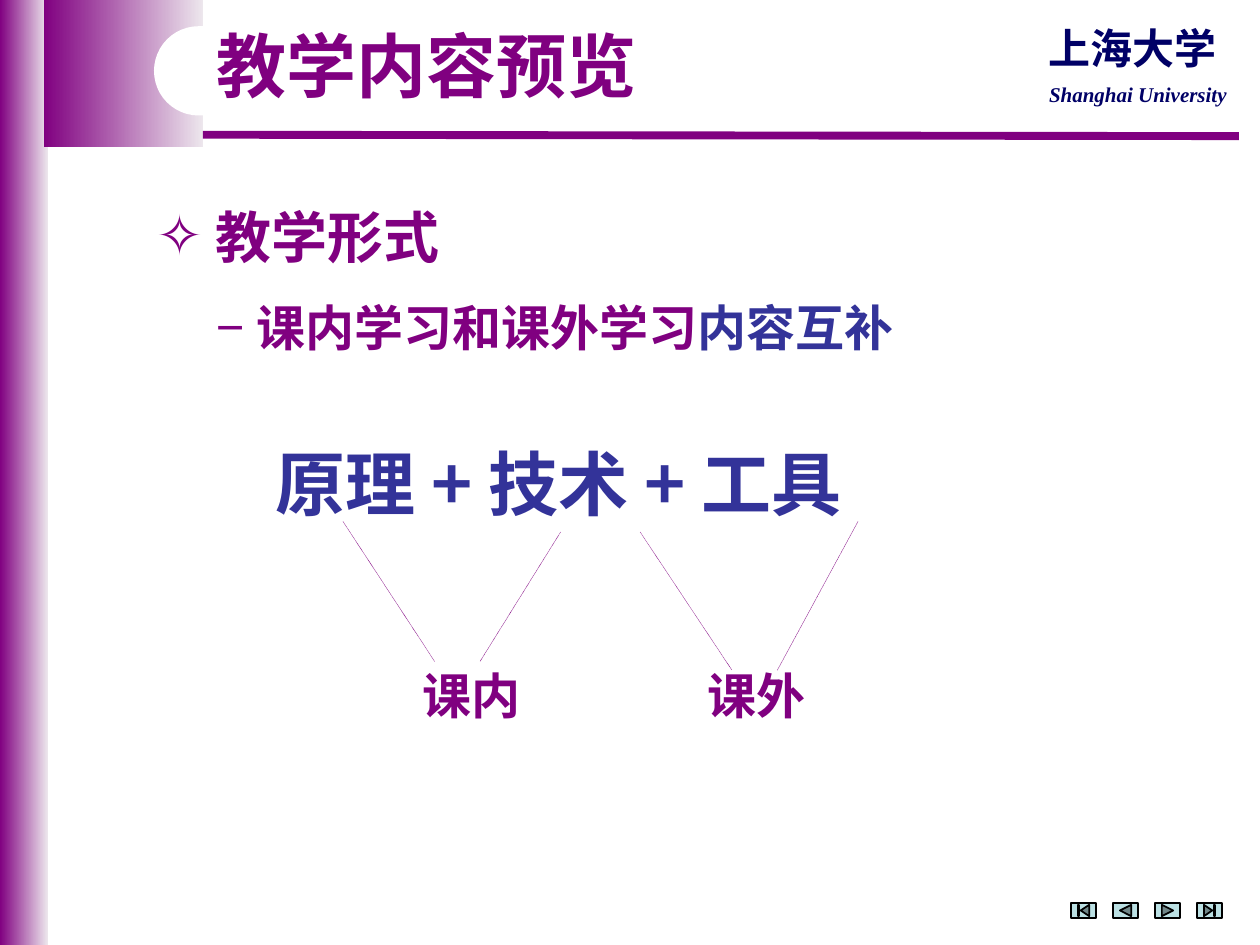
from dataclasses import dataclass

from lxml.etree import SubElement
from pptx import Presentation
from pptx.dml.color import RGBColor
from pptx.enum.dml import MSO_LINE
from pptx.enum.shapes import MSO_CONNECTOR, MSO_SHAPE
from pptx.enum.text import MSO_ANCHOR, MSO_AUTO_SIZE, PP_ALIGN
from pptx.oxml.ns import qn
from pptx.util import Pt


@dataclass(frozen=True)
class Theme:
    """Colours, fonts and type sizes of the slide."""
    purple: str = "800080"
    pale: str = "EDE7ED"
    navy: str = "000066"
    indigo: str = "333399"
    button: str = "BBE0E3"
    white: str = "FFFFFF"
    black: str = "000000"
    cjk: str = "Noto Sans CJK SC"
    latin: str = "Times New Roman"
    title: int = 40
    heading: int = 32
    body: int = 28
    name: int = 24
    small: int = 12
    leading: float = 1.21


T = Theme()


def rgb(value):
    """Turn a hex string into a colour."""
    return RGBColor.from_string(value)


def write(p, text, size=T.body, color=T.purple, font=T.cjk, italic=False,
          align=PP_ALIGN.LEFT, leading=T.leading, before=0):
    """Append a formatted run to a paragraph."""
    p.alignment = align
    p.space_before = Pt(before)
    p.line_spacing = Pt(round(size * leading, 1))
    r = p.add_run()
    r.text = text
    f = r.font
    f.name, f.size, f.bold, f.italic = font, Pt(size), True, italic
    f.color.rgb = rgb(color)
    SubElement(r._r.get_or_add_rPr(), qn("a:ea")).set("typeface", font)


def frame(sp, wrap=True):
    """Prepare a top-anchored text frame and return it."""
    tf = sp.text_frame
    tf.auto_size = MSO_AUTO_SIZE.NONE
    tf.word_wrap = wrap
    tf.vertical_anchor = MSO_ANCHOR.TOP
    return tf


def text_box(s, box, text, **fmt):
    """Add a one-line text box holding one run."""
    tf = frame(s.shapes.add_textbox(*map(Pt, box)), wrap=False)
    write(tf.paragraphs[0], text, **fmt)


def place(s, sp, box):
    """Move a placeholder to a box, in front of what is drawn so far."""
    sp.left, sp.top, sp.width, sp.height = map(Pt, box)
    s.shapes._spTree.append(sp._element)
    return frame(sp)


def bullet(p, char, margin, hang):
    """Give a paragraph a coloured bullet and a hanging indent."""
    pPr = p._p.get_or_add_pPr()
    pPr.set("marL", str(Pt(margin)))
    pPr.set("indent", str(-Pt(hang)))
    clr = SubElement(pPr, qn("a:buClr"))
    SubElement(clr, qn("a:srgbClr")).set("val", T.purple)
    SubElement(pPr, qn("a:buChar")).set("char", char)


def shape(s, kind, box, fill, line=None):
    """Add a flat preset shape with an optional outline."""
    sp = s.shapes.add_shape(kind, *map(Pt, box))
    sp.shadow.inherit = False
    sp.fill.solid()
    sp.fill.fore_color.rgb = rgb(fill)
    if line:
        sp.line.color.rgb = rgb(line)
        sp.line.width = Pt(1)
    else:
        sp.line.fill.background()
    return sp


def gradient_block(s, box):
    """Add a rectangle fading from purple to pale, left to right."""
    fill = shape(s, MSO_SHAPE.RECTANGLE, box, T.purple).fill
    fill.gradient()
    fill.gradient_angle = 0
    for stop, color, position in zip(fill.gradient_stops, (T.purple, T.pale), (0, 1)):
        stop.color.rgb = rgb(color)
        stop.position = position


def line(s, start, end, width, dash=None):
    """Add a straight purple line."""
    c = s.shapes.add_connector(MSO_CONNECTOR.STRAIGHT, *map(Pt, start + end))
    c.line.color.rgb = rgb(T.purple)
    c.line.width = Pt(width)
    if dash:
        c.line.dash_style = dash
    SubElement(c._element.spPr, qn("a:effectLst"))


def header(s):
    """Draw the side band, the title block and the university name."""
    gradient_block(s, (0, 0, 27.4, 540))
    gradient_block(s, (25, 0, 91.2, 84.2))
    line(s, (116, 77), (708, 77.8), 4.5)
    shape(s, MSO_SHAPE.ROUNDED_RECTANGLE, (88, 15, 260.6, 51), T.white).adjustments[0] = 0.5
    text_box(s, (591.6, 43.6, 117.4, 21.6), "Shanghai University", size=T.small,
             color=T.navy, font=T.latin, italic=True, align=PP_ALIGN.CENTER, leading=1.15)
    text_box(s, (591.6, 9.2, 111.6, 36), "上海大学", size=T.name, color=T.navy,
             align=PP_ALIGN.CENTER)


def outline(s):
    """Fill the title and the two-level list."""
    tf = place(s, s.shapes.title, (116.6, 15, 254.2, 50.4))
    write(tf.paragraphs[0], "教学内容预览", size=T.title, align=PP_ALIGN.CENTER, leading=1.06)
    tf = place(s, s.placeholders[1], (82, 111.6, 533, 97))
    p = tf.paragraphs[0]
    bullet(p, "✧", 34, 34)
    write(p, "教学形式", size=T.heading)
    p = tf.add_paragraph()
    p.level = 1
    bullet(p, "−", 57.6, 23.5)
    write(p, "课内学习和课外学习", before=16)
    write(p, "内容互补", color=T.indigo, before=16)


def diagram(s):
    """Draw the three topics and the two settings they lead to."""
    text_box(s, (150.5, 247.7, 391, 55.4), "原理 + 技术 + 工具", size=T.title, color=T.indigo)
    settings = (
        ("课内", 228.2, 82, (((196, 298), (248.4, 378)), ((320.4, 304), (274.3, 378)))),
        ("课外", 397, 70.6, (((365.8, 304), (418.3, 383)), ((490.3, 298), (444.2, 383)))),
    )
    for label, left, width, links in settings:
        text_box(s, (left, 376.6, width, 41), label, align=PP_ALIGN.CENTER)
        for start, end in links:
            line(s, start, end, 0.25, MSO_LINE.ROUND_DOT)


def navigation(s):
    """Add the row of action buttons."""
    kinds = (MSO_SHAPE.ACTION_BUTTON_BEGINNING, MSO_SHAPE.ACTION_BUTTON_BACK_OR_PREVIOUS,
             MSO_SHAPE.ACTION_BUTTON_FORWARD_OR_NEXT, MSO_SHAPE.ACTION_BUTTON_END)
    for i, kind in enumerate(kinds):
        shape(s, kind, (612 + 24 * i, 516, 14.4, 8.6), T.button, T.black)


def main():
    """Build the slide and save it."""
    prs = Presentation()
    prs.slide_width, prs.slide_height = Pt(720), Pt(540)
    s = prs.slides.add_slide(prs.slide_layouts[1])
    header(s)
    outline(s)
    diagram(s)
    navigation(s)
    prs.save("out.pptx")


if __name__ == "__main__":
    main()
